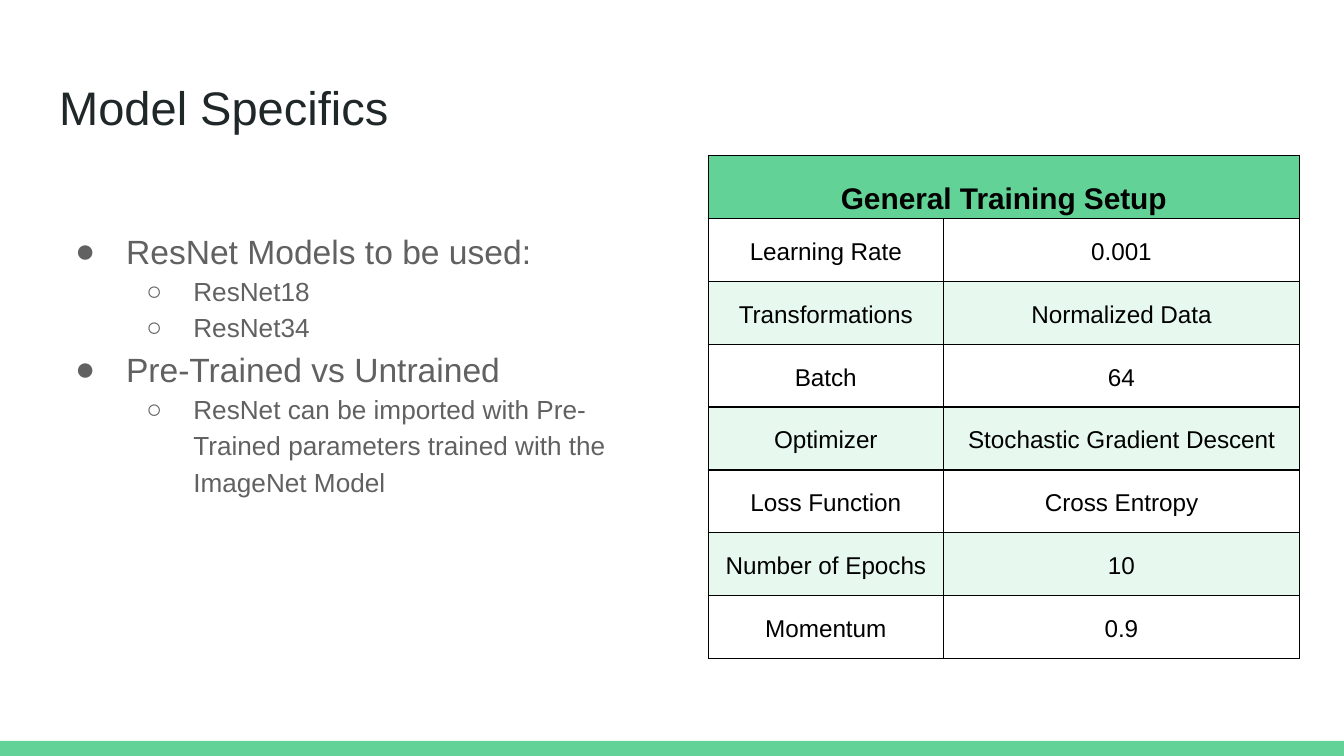
from lxml import etree
from pptx import Presentation
from pptx.dml.color import RGBColor
from pptx.enum.shapes import MSO_SHAPE
from pptx.enum.text import MSO_ANCHOR, MSO_AUTO_SIZE, PP_ALIGN
from pptx.oxml.ns import qn
from pptx.util import Inches, Pt

RECT = MSO_SHAPE.RECTANGLE
TOP, MID, LOW = MSO_ANCHOR.TOP, MSO_ANCHOR.MIDDLE, MSO_ANCHOR.BOTTOM
LEFT, MIDST = PP_ALIGN.LEFT, PP_ALIGN.CENTER
FIXED = MSO_AUTO_SIZE.NONE

WIDE = 10
HIGH = WIDE * 9 / 16
FACE = "Arial"
HUES = {"green": "63D297", "mint": "E7F9EF", "white": "FFFFFF",
        "black": "000000", "ink": "202729", "grey": "616161"}
SIDES = ("left", "right", "top", "bottom")
LEVELS = [
    {"mark": "●", "left": 0.5, "hang": -0.38, "size": 18},
    {"mark": "○", "left": 1, "hang": -0.35, "size": 14},
]
POINTS = [
    (0, "ResNet Models to be used:"),
    (1, "ResNet18"),
    (1, "ResNet34"),
    (0, "Pre-Trained vs Untrained"),
    (1, "ResNet can be imported with Pre-Trained parameters trained with the ImageNet Model"),
]
HEAD = "General Training Setup"
SETUP = [
    ("Learning Rate", "0.001"),
    ("Transformations", "Normalized Data"),
    ("Batch", "64"),
    ("Optimizer", "Stochastic Gradient Descent"),
    ("Loss Function", "Cross Entropy"),
    ("Number of Epochs", "10"),
    ("Momentum", "0.9"),
]
COLS = (1.74, 2.64)


def tint(name):
    return RGBColor.from_string(HUES[name])


def assign(part, values):
    for key, value in values.items():
        setattr(part, key, value)


def place(part, box):
    names = ("left", "top", "width", "height")
    assign(part, dict(zip(names, map(Inches, box))))


def paint(part, hue):
    part.fill.solid()
    part.fill.fore_color.rgb = tint(hue)


def write(para, text, size, hue, bold=False):
    run = para.add_run()
    run.text = text
    assign(run.font, {"name": FACE, "size": Pt(size), "bold": bold})
    run.font.color.rgb = tint(hue)


def pad(part, wide, tall):
    gaps = (wide, wide, tall, tall)
    assign(part, {f"margin_{side}": Inches(gap) for side, gap in zip(SIDES, gaps)})


def frame_up(frame, anchor):
    assign(frame, {"word_wrap": True, "auto_size": FIXED, "vertical_anchor": anchor})
    pad(frame, 0.1, 0.1)


def add_hue(parent, tag, hue):
    node = etree.SubElement(parent, qn(tag))
    etree.SubElement(node, qn("a:srgbClr"), val=HUES[hue])


def bullet(para, level):
    props = para._p.get_or_add_pPr()
    props.set("marL", str(Inches(level["left"])))
    props.set("indent", str(Inches(level["hang"])))
    add_hue(props, "a:buClr", "grey")
    etree.SubElement(props, qn("a:buFont"), typeface=FACE)
    etree.SubElement(props, qn("a:buChar"), char=level["mark"])


def border(cell):
    props = cell._tc.get_or_add_tcPr()
    for spot, side in enumerate("LRTB"):
        line = etree.Element(qn(f"a:ln{side}"), w=str(Pt(0.75)))
        add_hue(line, "a:solidFill", "black")
        props.insert(spot, line)


def draw_band(slide, box):
    band = slide.shapes.add_shape(RECT, *map(Inches, box))
    band.shadow.inherit = False
    paint(band, "green")
    band.line.fill.background()


def draw_title(slide, box):
    title = slide.shapes.title
    place(title, box)
    frame_up(title.text_frame, MID)
    para = title.text_frame.paragraphs[0]
    para.alignment = LEFT
    write(para, "Model Specifics", 25.2, "ink")


def draw_points(slide, box):
    frame = slide.shapes.add_textbox(*map(Inches, box)).text_frame
    frame_up(frame, TOP)
    for spot, (depth, text) in enumerate(POINTS):
        para = frame.add_paragraph() if spot else frame.paragraphs[0]
        level = LEVELS[depth]
        bullet(para, level)
        assign(para, {"level": depth, "line_spacing": 1.15, "alignment": LEFT})
        write(para, text, level["size"], "grey")


def fill_cell(cell, text, hue, size, anchor, bold):
    pad(cell, 0.03, 0.02)
    cell.vertical_anchor = anchor
    paint(cell, hue)
    border(cell)
    if text:
        para = cell.text_frame.paragraphs[0]
        assign(para, {"alignment": MIDST, "line_spacing": 1.15})
        write(para, text, size, "black", bold)


def draw_setup(slide, box):
    rows = [(HEAD, "")] + SETUP
    grid = slide.shapes.add_table(len(rows), 2, *map(Inches, box)).table
    for col, part in zip(grid.columns, COLS):
        col.width = Inches(box[2] * part / sum(COLS))
    for row in grid.rows:
        row.height = Inches(box[3] / len(rows))
    for down, pair in enumerate(rows):
        hue = "white" if down % 2 else "mint"
        look = (hue, 13, MID, False) if down else ("green", 16, LOW, True)
        for over, text in enumerate(pair):
            fill_cell(grid.cell(down, over), text, *look)
    grid.cell(0, 0).merge(grid.cell(0, 1))


def main():
    deck = Presentation()
    assign(deck, {"slide_width": Inches(WIDE), "slide_height": Inches(HIGH)})
    slide = deck.slides.add_slide(deck.slide_layouts[5])
    paint(slide.background, "white")
    edge = WIDE * 0.034
    band = HIGH * 0.02
    draw_band(slide, (0, HIGH - band, WIDE, band))
    draw_title(slide, (edge, 0.48, WIDE - 2 * edge, 0.63))
    draw_points(slide, (edge, 1.57, WIDE * 0.46, HIGH * 0.55))
    draw_setup(slide, (5.27, 1.16, WIDE * 0.44, 3.74))
    deck.save("out.pptx")


if __name__ == "__main__":
    main()
